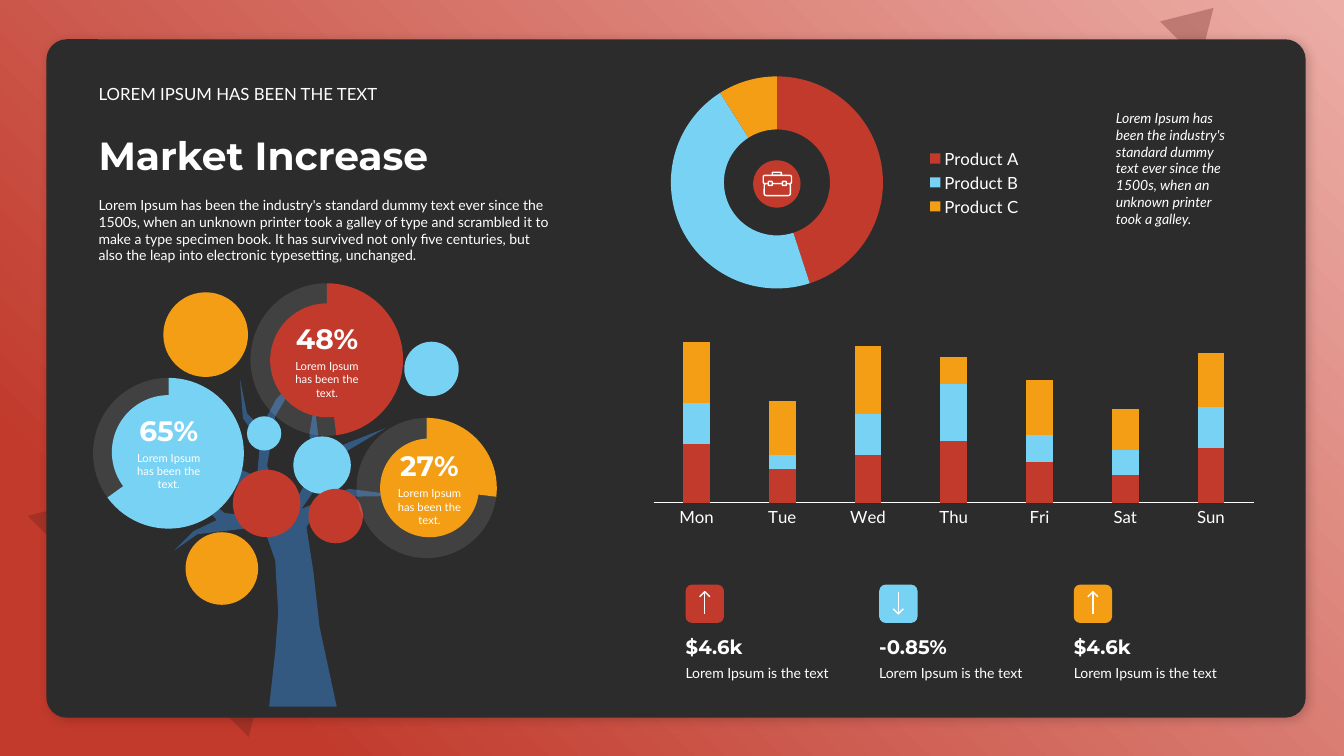
from dataclasses import dataclass

import lxml.etree
import pptx
import pptx.chart.data
import pptx.dml.color
import pptx.enum.chart
import pptx.enum.shapes
import pptx.enum.text
import pptx.oxml.ns
import pptx.util

SCALE = 9144  # EMU per px, 100 px to the inch
SHAPE = pptx.enum.shapes.MSO_SHAPE
ANCHOR = pptx.enum.text.MSO_ANCHOR
ALIGN = pptx.enum.text.PP_ALIGN
CHART = pptx.enum.chart.XL_CHART_TYPE


@dataclass(frozen=True)
class Theme:
    panel: str = "2C2C2C"
    red: str = "C13A2C"
    pink: str = "EBADA6"
    maroon: str = "601D16"
    blue: str = "78D2F4"
    orange: str = "F39E14"
    navy: str = "335981"
    white: str = "FFFFFF"
    body: str = "Lato"
    display: str = "Montserrat"
    title_size: int = 28
    percent_size: int = 20
    figure_size: int = 14
    label_size: int = 12
    text_size: int = 10
    small_size: int = 8


THEME = Theme()
PRODUCT_COLORS = (THEME.red, THEME.blue, THEME.orange)


@dataclass(frozen=True)
class Ring:
    box: tuple[int, int, int, int]
    percent: int
    color: str


@dataclass(frozen=True)
class Bubble:
    left: int
    top: int
    diameter: int
    color: str
    percent: str = ""


@dataclass(frozen=True)
class Indicator:
    figure: str
    color: str
    rising: bool


TREE_ITEMS = (
    Ring((82, 370, 172, 158), 65, THEME.blue),
    Bubble(184, 528, 72, THEME.orange),
    Bubble(231, 466, 67, THEME.red),
    Bubble(111, 392, 113, THEME.blue, "65%"),
    Bubble(291, 433, 57, THEME.blue),
    Bubble(162, 290, 84, THEME.orange),
    Bubble(306, 485, 54, THEME.red),
    Bubble(401, 339, 54, THEME.blue),
    Ring((238, 276, 174, 160), 48, THEME.red),
    Ring((344, 410, 160, 147), 27, THEME.orange),
    Bubble(268, 301, 113, THEME.red, "48%"),
    Bubble(377, 435, 98, THEME.orange, "27%"),
    Bubble(245, 413, 34, THEME.blue),
)
INDICATORS = (
    Indicator("$4.6k", THEME.red, True),
    Indicator("-0.85%", THEME.blue, False),
    Indicator("$4.6k", THEME.orange, True),
)
# Corners of the tree, clockwise from the top branch
TREE_OUTLINE = (
    (298, 371), (273, 413), (265, 462), (284, 512), (310, 468), (307, 430), (312, 401),
    (318, 451), (346, 439), (382, 425), (335, 453), (299, 505), (346, 485), (401, 492),
    (335, 493), (311, 512), (304, 523), (311, 568), (317, 622), (334, 701), (267, 701),
    (273, 647), (276, 608), (273, 556), (265, 533), (247, 524), (196, 530), (173, 546),
    (192, 527), (215, 516), (180, 476), (223, 509), (267, 514), (255, 494), (165, 434),
    (255, 473), (258, 439), (241, 415), (238, 376), (245, 410), (259, 424), (274, 396),
)


def px(*lengths: float) -> list[int]:
    return [round(length * SCALE) for length in lengths]


def rgb(color: str) -> pptx.dml.color.RGBColor:
    return pptx.dml.color.RGBColor.from_string(color)


def add_element(parent, tag: str, **attributes):
    return lxml.etree.SubElement(parent, pptx.oxml.ns.qn(tag), attributes)


def set_alpha(element, percent: int) -> None:
    color = next(element.iter(pptx.oxml.ns.qn("a:srgbClr")))
    add_element(color, "a:alpha", val=str(percent * 1000))


def paint(shape, fill: str | None, line: str | None = None) -> None:
    shape.shadow.inherit = False
    if fill:
        shape.fill.solid()
        shape.fill.fore_color.rgb = rgb(fill)
    else:
        shape.fill.background()
    if line:
        shape.line.color.rgb = rgb(line)
        shape.line.width = pptx.util.Pt(1)
    else:
        shape.line.fill.background()


def add_block(slide, kind, box, fill: str | None, line: str | None = None, rotation: int = 0):
    shape = slide.shapes.add_shape(kind, *px(*box))
    shape.rotation = rotation
    paint(shape, fill, line)
    return shape


def write(frame, text: str, *, size: int, font: str = THEME.body, bold: bool = False,
          italic: bool = False, align=ALIGN.LEFT, before: int = 0, after: int = 0) -> None:
    paragraph = frame.add_paragraph() if frame.text else frame.paragraphs[0]
    paragraph.alignment = align
    paragraph.space_before, paragraph.space_after = pptx.util.Pt(before), pptx.util.Pt(after)
    run = paragraph.add_run()
    run.text = text
    run.font.size, run.font.name = pptx.util.Pt(size), font
    run.font.bold, run.font.italic = bold, italic
    run.font.color.rgb = rgb(THEME.white)


def add_text(slide, box, text: str, *, anchor=ANCHOR.TOP, inset: int = 10, **style) -> None:
    frame = slide.shapes.add_textbox(*px(*box)).text_frame
    frame.word_wrap = True
    frame.auto_size = pptx.enum.text.MSO_AUTO_SIZE.SHAPE_TO_FIT_TEXT
    frame.vertical_anchor = anchor
    frame.margin_left, frame.margin_right = px(inset, inset)
    write(frame, text, **style)


def add_chart(slide, kind, box, categories, series, size: int):
    data = pptx.chart.data.CategoryChartData()
    data.categories = categories
    for number, values in enumerate(series, 1):
        data.add_series(f"Series {number}", values)
    chart = slide.shapes.add_chart(kind, *px(*box), data).chart
    chart.has_title = chart.has_legend = False
    chart.font.size, chart.font.name = pptx.util.Pt(size), THEME.body
    chart.font.color.rgb = rgb(THEME.white)
    return chart


def add_doughnut(slide, box, categories, values, colors, hole: int):
    chart = add_chart(slide, CHART.DOUGHNUT, box, categories, [values], THEME.text_size)
    plot = chart.plots[0]
    plot.vary_by_categories = True
    for index, color in enumerate(colors):
        point_format = plot.series[0].points[index].format
        point_format.fill.solid()
        point_format.fill.fore_color.rgb = rgb(color)
        point_format.line.fill.background()
    next(chart._chartSpace.iter(pptx.oxml.ns.qn("c:holeSize"))).set("val", str(hole))
    return chart


def add_ring(slide, ring: Ring) -> None:
    chart = add_doughnut(slide, ring.box, ("1", "2"), (ring.percent, 100 - ring.percent),
                         (ring.color, THEME.white), 80)
    set_alpha(chart.plots[0].series[0].points[1].format._element, 10)
    plot_area = next(chart._chartSpace.iter(pptx.oxml.ns.qn("c:plotArea")))
    for layout in plot_area.findall(pptx.oxml.ns.qn("c:layout")):
        plot_area.remove(layout)
    layout = add_element(plot_area, "c:layout")
    plot_area.insert(0, layout)
    manual = add_element(layout, "c:manualLayout")
    for name, value in (("layoutTarget", "inner"), ("xMode", "edge"), ("yMode", "edge"),
                        ("x", "0.06"), ("y", "0.03"), ("w", "0.87"), ("h", "0.95")):
        add_element(manual, f"c:{name}", val=value)


def add_bubble(slide, bubble: Bubble) -> None:
    box = (bubble.left, bubble.top, bubble.diameter, bubble.diameter)
    frame = add_block(slide, SHAPE.OVAL, box, bubble.color).text_frame
    if bubble.percent:
        frame.word_wrap = True
        frame.vertical_anchor = ANCHOR.MIDDLE
        frame.margin_left = frame.margin_right = 0
        write(frame, bubble.percent, size=THEME.percent_size, font=THEME.display, bold=True,
              align=ALIGN.CENTER, before=3)
        write(frame, "Lorem Ipsum has been the text.", size=THEME.small_size,
              align=ALIGN.CENTER, before=3)


def add_tree(slide) -> None:
    start, *corners = [px(*corner) for corner in TREE_OUTLINE]
    builder = slide.shapes.build_freeform(*start)
    builder.add_line_segments(corners, close=True)
    paint(builder.convert_to_shape(), THEME.navy)


def add_indicator(slide, indicator: Indicator, left: int) -> None:
    add_block(slide, SHAPE.ROUNDED_RECTANGLE, (left, 580, 38, 38), indicator.color)
    center = left + 19
    tip, tail, barb = (587, 609, 592) if indicator.rising else (609, 587, 604)
    builder = slide.shapes.build_freeform(*px(center - 5, barb))
    builder.add_line_segments([px(center, tip), px(center + 5, barb)], close=False)
    builder.move_to(*px(center, tip))
    builder.add_line_segments([px(center, tail)], close=False)
    paint(builder.convert_to_shape(), None, THEME.white)
    add_text(slide, (left, 654, 153, 27), "Lorem Ipsum is the text", inset=0, size=THEME.text_size)
    add_text(slide, (left, 624, 153, 34), indicator.figure, inset=0, anchor=ANCHOR.BOTTOM,
             size=THEME.figure_size, font=THEME.display, bold=True)


def add_backdrop(slide) -> None:
    slide.background.fill.solid()
    slide.background.fill.fore_color.rgb = rgb(THEME.panel)
    backdrop = add_block(slide, SHAPE.RECTANGLE, (0, 0, 1333, 750), THEME.red)
    backdrop.fill.gradient()
    for stop, color, position in zip(backdrop.fill.gradient_stops, (THEME.pink, THEME.red), (0, 0.85)):
        stop.color.rgb, stop.position = rgb(color), position
    gradient = backdrop._element.spPr.find(pptx.oxml.ns.qn("a:gradFill"))
    gradient.remove(gradient.find(pptx.oxml.ns.qn("a:lin")))
    circle = add_element(gradient, "a:path", path="circle")
    add_element(circle, "a:fillToRect", l="100000", b="100000")
    for box in ((73, 402, 310, 257), (1159, 1, 56, 47)):
        triangle = add_block(slide, SHAPE.ISOSCELES_TRIANGLE, box, THEME.maroon, rotation=45)
        set_alpha(triangle._element.spPr, 30)
    panel = add_block(slide, SHAPE.ROUNDED_RECTANGLE, (46, 39, 1249, 673), THEME.panel)
    panel.adjustments[0] = 0.03
    effects = panel._element.spPr.find(pptx.oxml.ns.qn("a:effectLst"))
    shadow = add_element(effects, "a:outerShdw", blurRad="101600", dist="38100", dir="2700000")
    add_element(shadow, "a:srgbClr", val="000000")
    set_alpha(shadow, 20)


def add_products(slide) -> None:
    chart = add_doughnut(slide, (624, 62, 400, 238), ("Product A", "Product B", "Product C"),
                         (45, 46, 9), PRODUCT_COLORS, 50)
    chart.has_legend = True
    legend = chart.legend
    legend.position = pptx.enum.chart.XL_LEGEND_POSITION.RIGHT
    legend.include_in_layout = False
    legend.font.size, legend.font.name = pptx.util.Pt(THEME.label_size), THEME.body
    legend.font.color.rgb = rgb(THEME.white)
    add_text(slide, (1097, 103, 134, 128), "Lorem Ipsum has been the industry's standard dummy text "
             "ever since the 1500s, when an unknown printer took a galley.",
             anchor=ANCHOR.MIDDLE, size=THEME.text_size, italic=True, after=6)
    # Briefcase: handle, body, lid and two clasps
    add_block(slide, SHAPE.OVAL, (747, 159, 47, 47), THEME.red)
    for box in ((766, 171, 9, 3), (758, 182, 26, 12), (757, 174, 28, 8), (762, 180, 4, 4), (776, 180, 4, 4)):
        add_block(slide, SHAPE.ROUNDED_RECTANGLE, box, THEME.red, THEME.white)


def add_week(slide) -> None:
    chart = add_chart(slide, CHART.COLUMN_STACKED, (636, 305, 620, 222),
                      ("Mon", "Tue", "Wed", "Thu", "Fri", "Sat", "Sun"),
                      ((86, 50, 70, 90, 60, 40, 80), (60, 20, 60, 84, 40, 38, 60),
                       (90, 80, 100, 40, 80, 60, 80)), THEME.label_size)
    plot = chart.plots[0]
    plot.gap_width, plot.overlap, plot.vary_by_categories = 220, 100, False
    for series, color in zip(plot.series, PRODUCT_COLORS):
        series.format.fill.solid()
        series.format.fill.fore_color.rgb = rgb(color)
    days, amounts = chart.category_axis, chart.value_axis
    days.major_tick_mark = pptx.enum.chart.XL_TICK_MARK.NONE
    days.format.line.color.rgb = rgb(THEME.white)
    days.format.line.width = pptx.util.Pt(0.75)
    amounts.visible = amounts.has_major_gridlines = False
    amounts.minimum_scale, amounts.maximum_scale = 0, 280


def main() -> None:
    presentation = pptx.Presentation()
    presentation.slide_width, presentation.slide_height = px(1333, 750)
    slide = presentation.slides.add_slide(presentation.slide_layouts[6])
    add_backdrop(slide)
    # Heading
    add_text(slide, (88, 190, 473, 77), "Lorem Ipsum has been the industry's standard dummy text ever "
             "since the 1500s, when an unknown printer took a galley of type and scrambled it to make a "
             "type specimen book. It has survived not only five centuries, but also the leap into "
             "electronic typesetting, unchanged.", size=THEME.text_size, after=6)
    add_text(slide, (88, 125, 473, 57), "Market Increase", anchor=ANCHOR.BOTTOM,
             size=THEME.title_size, font=THEME.display, bold=True)
    add_text(slide, (88, 78, 473, 30), "LOREM IPSUM HAS BEEN THE TEXT", anchor=ANCHOR.BOTTOM,
             size=THEME.label_size)
    # Tree with its rings and bubbles
    add_tree(slide)
    for item in TREE_ITEMS:
        if isinstance(item, Ring):
            add_ring(slide, item)
        else:
            add_bubble(slide, item)
    # Charts and indicators
    add_products(slide)
    add_week(slide)
    for index, indicator in enumerate(INDICATORS):
        add_indicator(slide, indicator, 680 + index * 385 // 2)
    presentation.save("out.pptx")


if __name__ == "__main__":
    main()
